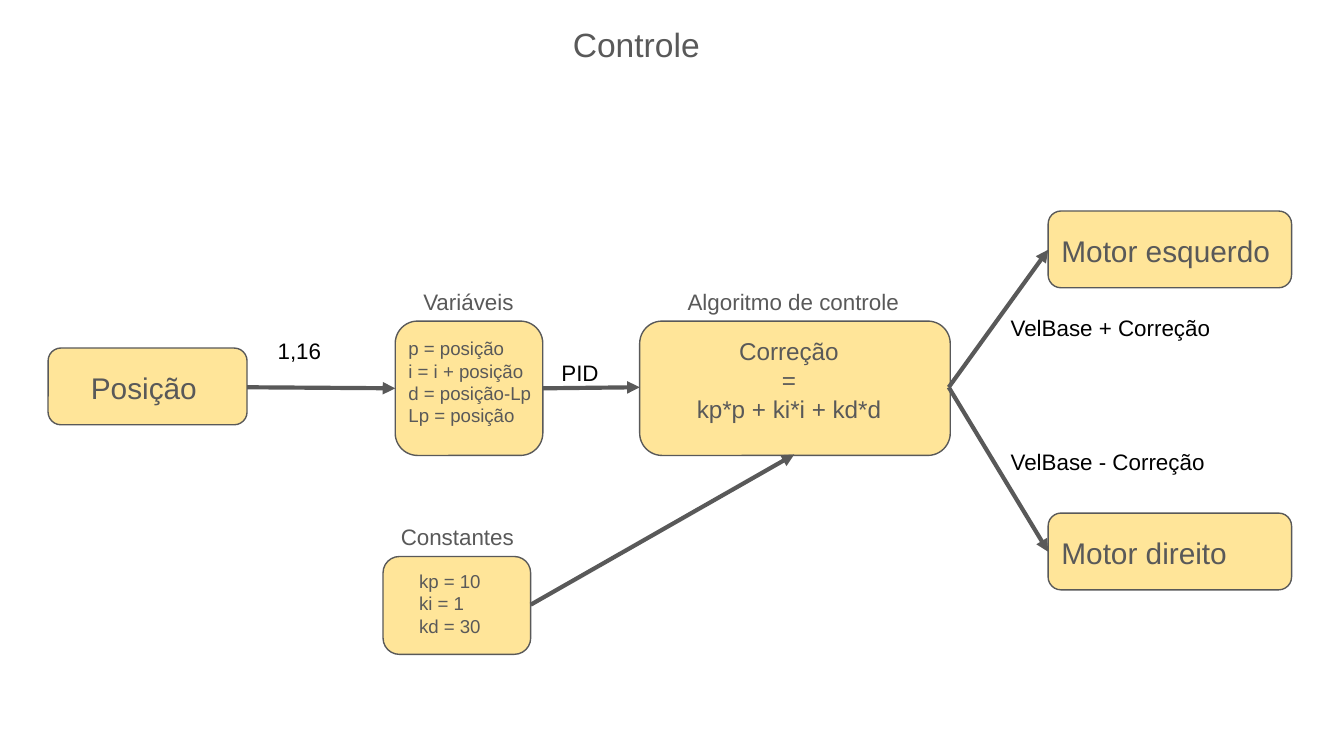
"""Builds the slide that shows the PID control flow from position to motors."""
from lxml import etree
from pptx import Presentation
from pptx.dml.color import RGBColor
from pptx.enum import shapes, text
from pptx.oxml import ns
from pptx.util import Cm, Pt

GRAY = RGBColor(0x59, 0x59, 0x59)
YELLOW = RGBColor(0xFF, 0xE5, 0x99)
BLACK = RGBColor(0, 0, 0)
LEFT, CENTER = text.PP_ALIGN.LEFT, text.PP_ALIGN.CENTER
TOP, MIDDLE = text.MSO_ANCHOR.TOP, text.MSO_ANCHOR.MIDDLE


def write(tf, lines, size=12, color=GRAY, align=LEFT, anchor=TOP, font="Arial"):
    tf.word_wrap = True
    tf.auto_size = text.MSO_AUTO_SIZE.NONE
    tf.vertical_anchor = anchor
    tf.margin_left = tf.margin_right = tf.margin_top = tf.margin_bottom = Cm(0.25)
    for i, line in enumerate(lines.split("\n")):
        p = tf.add_paragraph() if i else tf.paragraphs[0]
        p.alignment = align
        r = p.add_run()
        r.text = line
        r.font.name, r.font.size, r.font.color.rgb = font, Pt(size), color


class Diagram:
    def __init__(self, prs):
        self.s = prs.slides.add_slide(prs.slide_layouts[5])

    def title(self, words, x, y, w, h):
        sp = self.s.shapes.title
        sp.left, sp.top, sp.width, sp.height = Cm(x), Cm(y), Cm(w), Cm(h)
        write(sp.text_frame, words, size=18, align=CENTER, anchor=MIDDLE)

    def box(self, x, y, w, h):
        sp = self.s.shapes.add_shape(
            shapes.MSO_SHAPE.ROUNDED_RECTANGLE, Cm(x), Cm(y), Cm(w), Cm(h))
        sp.shadow.inherit = False
        sp.fill.solid()
        sp.fill.fore_color.rgb = YELLOW
        sp.line.color.rgb = GRAY
        sp.line.width = Pt(0.75)

    def label(self, words, x, y, w, h=0.89, **style):
        sp = self.s.shapes.add_textbox(Cm(x), Cm(y), Cm(w), Cm(h))
        write(sp.text_frame, words, **style)

    def heading(self, words, x, y):
        self.label(words, x, y, 5.51, align=CENTER, anchor=MIDDLE)

    def arrow(self, x1, y1, x2, y2):
        sp = self.s.shapes.add_connector(
            shapes.MSO_CONNECTOR.STRAIGHT, Cm(x1), Cm(y1), Cm(x2), Cm(y2))
        sp.line.color.rgb = GRAY
        sp.line.width = Pt(2.25)
        ln = sp.line._get_or_add_ln()
        etree.SubElement(ln, ns.qn("a:tailEnd"), type="triangle")
        etree.SubElement(sp._element.spPr, ns.qn("a:effectLst"))


def main():
    prs = Presentation()
    prs.slide_width, prs.slide_height = Cm(25.4), Cm(14.29)
    d = Diagram(prs)
    d.title("Controle", 9.27, 0.38, 5.51, 0.89)

    d.box(0.91, 6.58, 3.76, 1.45)
    d.label("Posição", 1.12, 6.48, 3.2, 1.7, size=16, align=CENTER, anchor=MIDDLE)

    d.box(7.47, 6.07, 2.79, 2.54)
    d.heading("Variáveis", 6.1, 5.26)
    d.label("p = posição\ni = i + posição\nd = posição-Lp\nLp = posição",
            7.47, 6.12, 3.02, 2.31, size=10)

    d.box(12.09, 6.07, 5.87, 2.54)
    d.heading("Algoritmo de controle", 12.24, 5.26)
    d.label("Correção\n=\nkp*p + ki*i + kd*d", 12.42, 6.73, 4.98,
            size=13, align=CENTER, anchor=MIDDLE)

    d.box(7.24, 10.52, 2.79, 1.85)
    d.heading("Constantes", 5.89, 9.7)
    d.label("kp = 10\nki = 1\nkd = 30", 7.67, 10.52, 1.96, 1.85, size=10)

    for words, y in (("Motor esquerdo", 3.99), ("Motor direito", 9.7)):
        d.box(19.81, y, 4.6, 1.45)
        d.label(words, 19.81, y - 0.1, 4.6, 1.7, size=16, anchor=MIDDLE)
        d.arrow(17.93, 7.32, 19.81, y + 0.73)

    d.arrow(4.67, 7.32, 7.47, 7.34)
    d.arrow(10.26, 7.34, 12.09, 7.32)
    d.arrow(10.03, 11.43, 15.01, 8.59)

    for words, x, y, w in ((" 1,16", 4.88, 6.12, 1.96),
                           ("PID", 10.36, 6.53, 1.96),
                           ("VelBase + Correção", 18.85, 5.69, 4.6),
                           ("VelBase - Correção", 18.85, 8.23, 4.6)):
        d.label(words, x, y, w, color=BLACK)

    prs.save("out.pptx")


if __name__ == "__main__":
    main()
